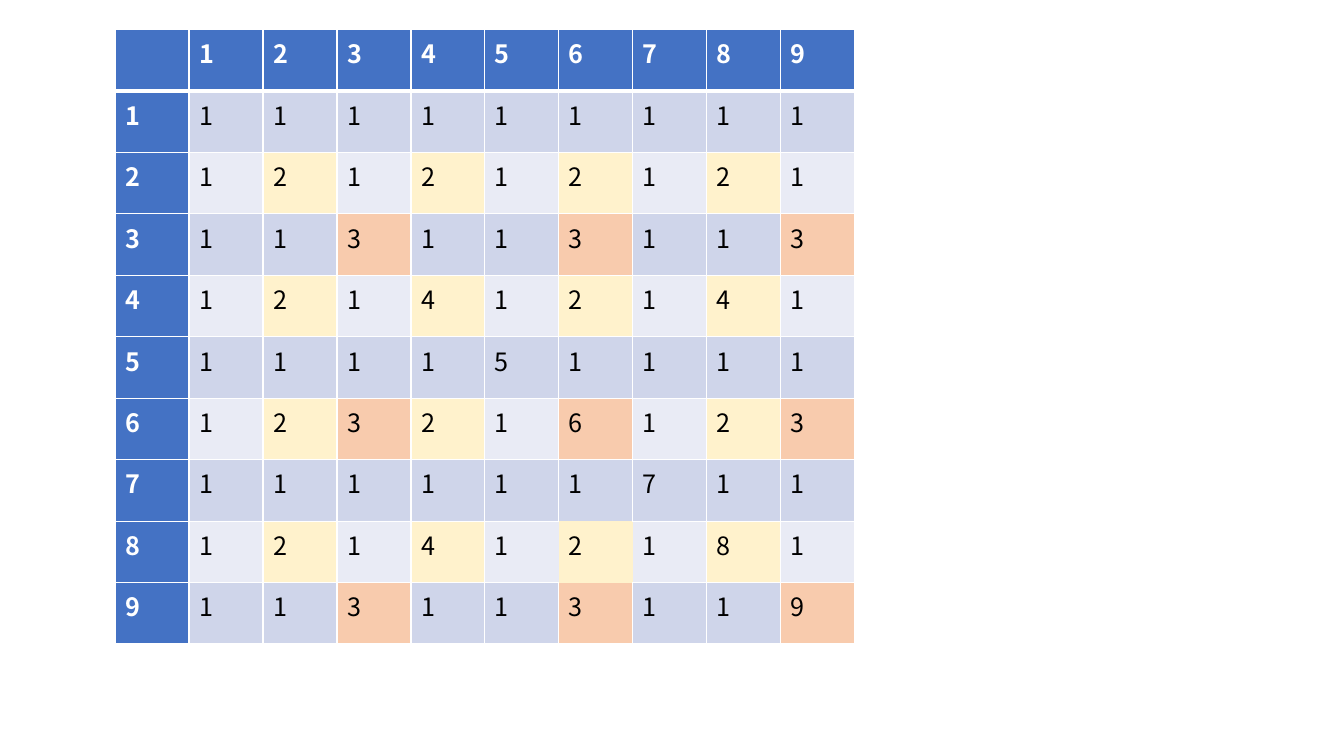
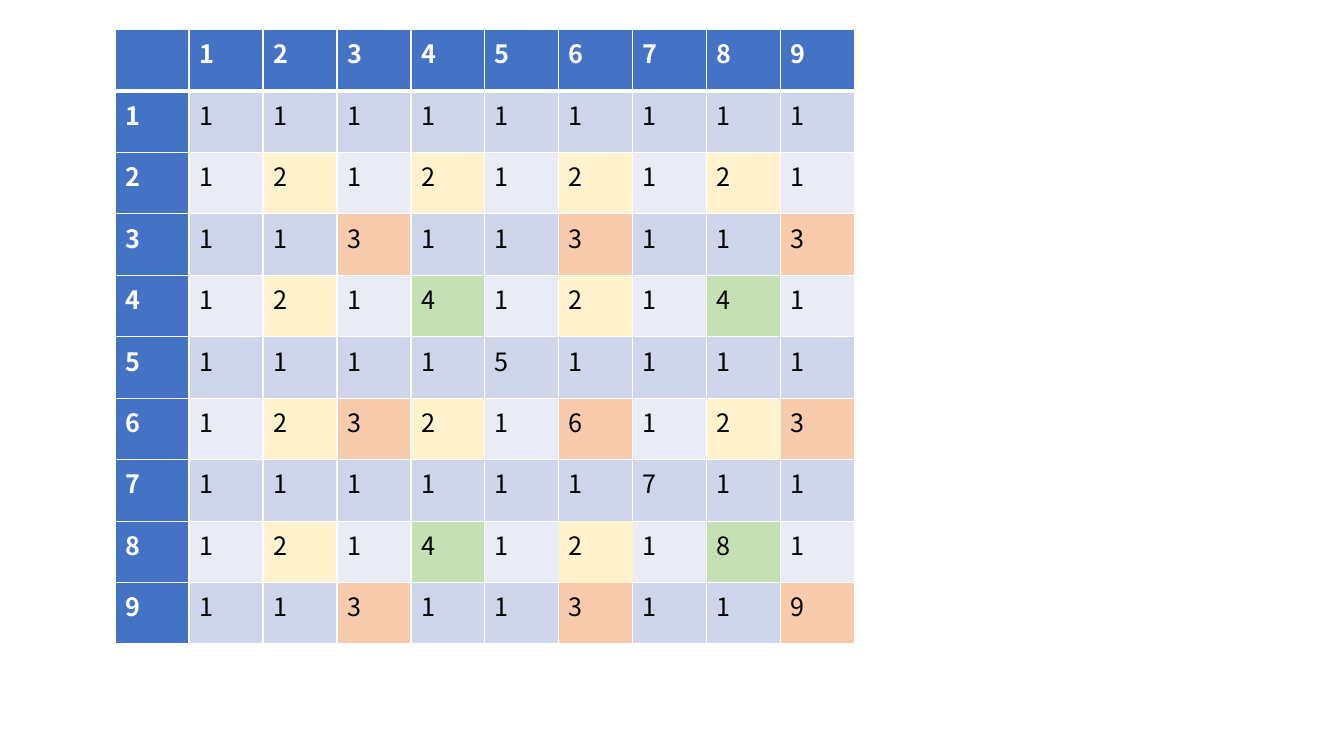
from math import gcd

from lxml.etree import SubElement
from pptx import Presentation
from pptx.dml.color import RGBColor
from pptx.oxml.ns import qn
from pptx.util import Cm, Pt

COLORS = {
    "header": "4472C4",
    "odd row": "CFD5EA",
    "even row": "E9EBF5",
    "twos": "FFF2CC",
    "threes": "F8CBAD",
    "fours": "C5E0B4",
    "line": "FFFFFF",
    "header text": "FFFFFF",
    "text": "000000",
}
FONT = {"name": "Noto Sans CJK SC", "size": Pt(18)}
LARGEST = 9
THIN, THICK = Pt(1), Pt(3)
OPEN_CELL = (8, 6)
SIDES = {"L": (0, -1), "R": (0, 1), "T": (-1, 0), "B": (1, 0)}

# The first divisor that fits the cell's value gives its highlight.
TWOS_AND_THREES = {3: "threes", 2: "twos"}
WITH_FOURS = {3: "threes", 4: "fours", 2: "twos"}


def border_width(row, column, side):
    """Width of one cell edge; 0 around the open cell."""
    row_step, column_step = SIDES[side]
    neighbour = (row + row_step, column + column_step)
    if OPEN_CELL in ((row, column), neighbour):
        return 0
    under_header = (row, side) in ((0, "B"), (1, "T"))
    return THICK if under_header else THIN


def add_border(cell, side, width):
    properties = cell._tc.get_or_add_tcPr()
    line = SubElement(properties, qn(f"a:ln{side}"), w=str(width))
    if width:
        fill = SubElement(line, qn("a:solidFill"))
        SubElement(fill, qn("a:srgbClr"), val=COLORS["line"])
    else:
        SubElement(line, qn("a:noFill"))


def cell_color(row, column, highlights):
    if row == 0 or column == 0:
        return COLORS["header"]
    value = gcd(row, column)
    for divisor, name in highlights.items():
        if value % divisor == 0:
            return COLORS[name]
    return COLORS["odd row" if row % 2 else "even row"]


def write_cell(cell, row, column):
    is_header = row == 0 or column == 0
    paragraph = cell.text_frame.paragraphs[0]
    value = gcd(row, column)  # gcd(0, n) is n, which gives the headings
    if value:
        paragraph.text = str(value)
    for name, setting in {**FONT, "bold": is_header}.items():
        setattr(paragraph.font, name, setting)
    text_color = COLORS["header text" if is_header else "text"]
    paragraph.font.color.rgb = RGBColor.from_string(text_color)


def add_divisor_table(slide, highlights):
    """Table of greatest common divisors with its highlighted multiples."""
    count = LARGEST + 1
    table = slide.shapes.add_table(
        count, count, Cm(2.9), Cm(0.74), Cm(18.65), Cm(15.49)
    ).table
    table.first_col = True
    for row in range(count):
        for column in range(count):
            cell = table.cell(row, column)
            for side in SIDES:
                add_border(cell, side, border_width(row, column, side))
            cell.fill.solid()
            color = cell_color(row, column, highlights)
            cell.fill.fore_color.rgb = RGBColor.from_string(color)
            write_cell(cell, row, column)


def main():
    presentation = Presentation()
    presentation.slide_width = Cm(33.87)
    presentation.slide_height = Cm(19.05)
    blank_layout = presentation.slide_layouts[6]
    for highlights in (TWOS_AND_THREES, WITH_FOURS):
        slide = presentation.slides.add_slide(blank_layout)
        add_divisor_table(slide, highlights)
    presentation.save("out.pptx")


if __name__ == "__main__":
    main()
